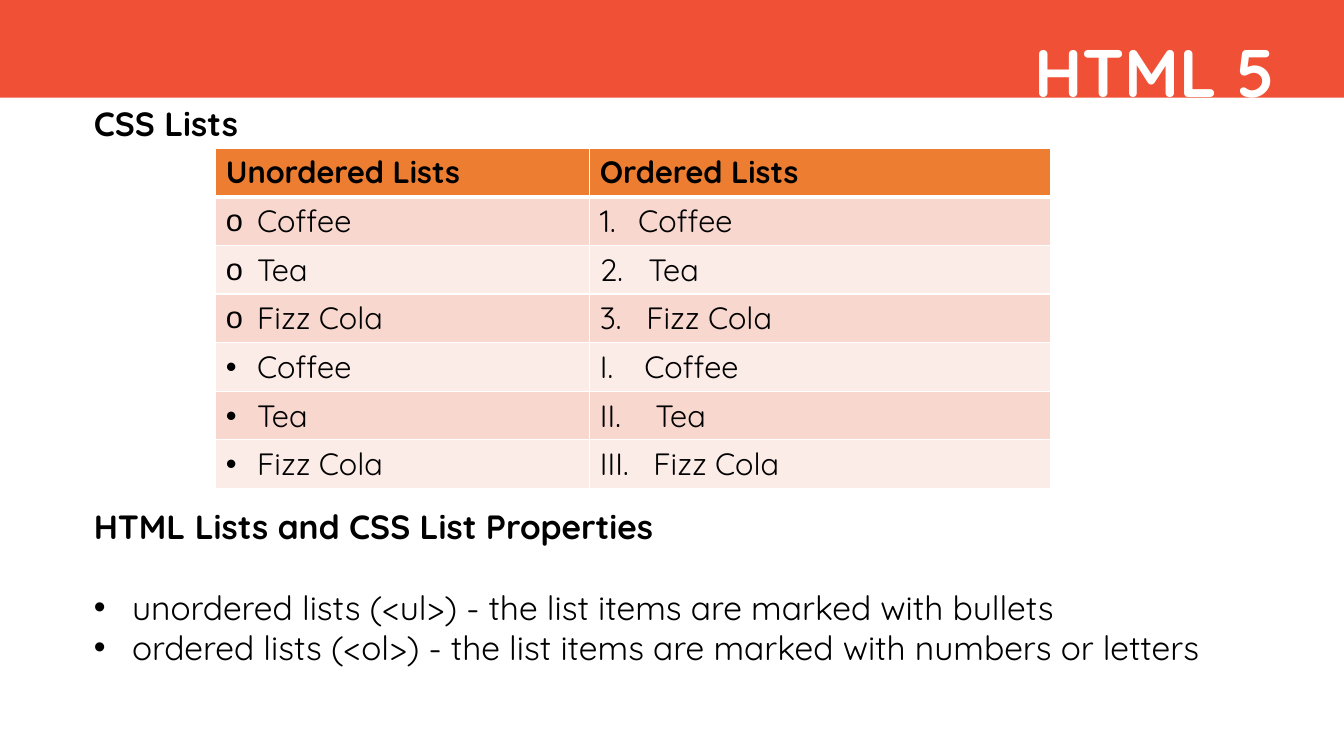
from dataclasses import dataclass

from lxml import etree
from pptx import Presentation
from pptx.dml.color import RGBColor
from pptx.enum.shapes import MSO_SHAPE
from pptx.enum.text import MSO_ANCHOR, MSO_AUTO_SIZE, PP_ALIGN
from pptx.oxml.ns import qn
from pptx.util import Inches, Pt

RECTANGLE = MSO_SHAPE.RECTANGLE
TOP, MIDDLE = MSO_ANCHOR.TOP, MSO_ANCHOR.MIDDLE
NO_AUTOFIT = MSO_AUTO_SIZE.NONE
LEFT, RIGHT = PP_ALIGN.LEFT, PP_ALIGN.RIGHT

FONT = "Quicksand"
BULLET_FONT = "Arial"
BLACK = RGBColor(0x00, 0x00, 0x00)
WHITE = RGBColor(0xFF, 0xFF, 0xFF)
RED = RGBColor(0xF0, 0x51, 0x36)
ORANGE = RGBColor(0xED, 0x7D, 0x31)
ROSE = RGBColor(0xF8, 0xD7, 0xCE)
PALE_ROSE = RGBColor(0xFC, 0xEC, 0xE8)

SLIDE_WIDTH, SLIDE_HEIGHT = Inches(13.33), Inches(7.5)
BAND_HEIGHT = Inches(0.97)
COLUMN_WIDTHS = (Inches(3.71), Inches(4.57))
TABLE_LEFT, TABLE_TOP, TABLE_HEIGHT = Inches(2.14), Inches(1.47), Inches(3.27)


@dataclass(frozen=True)
class Marker:
    """A list marker: a bullet character, or a numbering scheme and its start."""
    indent: float
    character: str = ""
    scheme: str = ""
    start: int = 1


@dataclass(frozen=True)
class Line:
    text: str
    bold: bool = False
    space_before: float = 0
    marker: Marker | None = None


def arabic(start: int, indent: float) -> Marker:
    return Marker(indent, scheme="arabicPeriod", start=start)


def roman(start: int, indent: float) -> Marker:
    return Marker(indent, scheme="romanUcPeriod", start=start)


CIRCLE = Marker(0.31, "o")
DOT = Marker(0.31, "•")
BODY_DOT = Marker(0.38, "•")

# Gaps in the body leave room for the table and for one empty line
BODY_LINES = (
    Line("CSS Lists", bold=True),
    Line("HTML Lists and CSS List Properties", bold=True, space_before=259),
    Line("unordered lists (<ul>) - the list items are marked with bullets",
         space_before=29, marker=BODY_DOT),
    Line("ordered lists (<ol>) - the list items are marked with numbers or letters",
         marker=BODY_DOT),
)
HEADINGS = ("Unordered Lists", "Ordered Lists")
DRINKS = ("Coffee", "Tea", "Fizz Cola")
MARKERS = (
    (CIRCLE, arabic(1, 0.38)),
    (CIRCLE, arabic(2, 0.48)),
    (CIRCLE, arabic(3, 0.46)),
    (DOT, roman(1, 0.44)),
    (DOT, roman(2, 0.55)),
    (DOT, roman(3, 0.53)),
)


def set_marker(paragraph, marker: Marker | None) -> None:
    properties = paragraph._p.get_or_add_pPr()
    indent = Inches(marker.indent) if marker else 0
    properties.set("marL", str(indent))
    properties.set("indent", str(-indent))
    # Bullet elements stand before the default run properties
    bullets = []
    if marker is None:
        bullets.append(etree.Element(qn("a:buNone")))
    elif marker.scheme:
        bullets.append(etree.Element(qn("a:buAutoNum"), type=marker.scheme,
                                     startAt=str(marker.start)))
    else:
        bullets.append(etree.Element(qn("a:buFont"), typeface=BULLET_FONT))
        bullets.append(etree.Element(qn("a:buChar"), char=marker.character))
    defaults = properties.find(qn("a:defRPr"))
    for bullet in bullets:
        if defaults is None:
            properties.append(bullet)
        else:
            defaults.addprevious(bullet)


def write_line(paragraph, line: Line, size: float, color: RGBColor = BLACK,
               alignment: PP_ALIGN = LEFT) -> None:
    paragraph.text = line.text
    paragraph.alignment = alignment
    paragraph.space_before = Pt(line.space_before)
    font = paragraph.font
    font.name, font.size, font.bold = FONT, Pt(size), line.bold
    font.color.rgb = color
    set_marker(paragraph, line.marker)


def place(shape, left: int, top: int, width: int, height: int) -> None:
    shape.left, shape.top, shape.width, shape.height = left, top, width, height


def set_borders(cell, bottom_width: float) -> None:
    properties = cell._tc.get_or_add_tcPr()
    widths = {"lnL": 1, "lnR": 1, "lnT": 1, "lnB": bottom_width}
    for position, (side, width) in enumerate(widths.items()):
        border = etree.Element(qn(f"a:{side}"), w=str(Pt(width)))
        fill = etree.SubElement(border, qn("a:solidFill"))
        etree.SubElement(fill, qn("a:srgbClr"), val=str(WHITE))
        properties.insert(position, border)


def fill_cell(cell, line: Line, color: RGBColor, bottom_width: float = 1) -> None:
    cell.fill.solid()
    cell.fill.fore_color.rgb = color
    set_borders(cell, bottom_width)
    write_line(cell.text_frame.paragraphs[0], line, 22)


def add_band(slide) -> None:
    band = slide.shapes.add_shape(RECTANGLE, 0, 0, SLIDE_WIDTH, BAND_HEIGHT)
    band.shadow.inherit = False
    band.fill.solid()
    band.fill.fore_color.rgb = RED
    band.line.fill.background()
    # Send the band behind the title
    slide.shapes._spTree.insert(2, band._element)


def write_title(slide) -> None:
    title = slide.shapes.title
    place(title, Inches(4.25), Inches(0.25), Inches(8.5), Inches(0.91))
    title.text_frame.auto_size = NO_AUTOFIT
    title.text_frame.vertical_anchor = MIDDLE
    write_line(title.text_frame.paragraphs[0], Line("HTML 5", bold=True), 48,
               WHITE, RIGHT)


def write_body(slide) -> None:
    body = slide.placeholders[1]
    place(body, Inches(0.83), BAND_HEIGHT, Inches(11.93), Inches(5.76))
    frame = body.text_frame
    frame.auto_size = NO_AUTOFIT
    frame.vertical_anchor = TOP
    for number, line in enumerate(BODY_LINES):
        paragraph = frame.add_paragraph() if number else frame.paragraphs[0]
        write_line(paragraph, line, 24)


def add_list_table(slide) -> None:
    row_count = len(MARKERS) + 1
    table = slide.shapes.add_table(row_count, len(HEADINGS), TABLE_LEFT, TABLE_TOP,
                                   sum(COLUMN_WIDTHS), TABLE_HEIGHT).table
    for column, width in zip(table.columns, COLUMN_WIDTHS):
        column.width = width
    for column, heading in enumerate(HEADINGS):
        fill_cell(table.cell(0, column), Line(heading, bold=True), ORANGE, 3)
    for index, row_markers in enumerate(MARKERS):
        color = PALE_ROSE if index % 2 else ROSE
        drink = DRINKS[index % len(DRINKS)]
        for column, marker in enumerate(row_markers):
            fill_cell(table.cell(index + 1, column), Line(drink, marker=marker), color)


def main() -> None:
    presentation = Presentation()
    presentation.slide_width = SLIDE_WIDTH
    presentation.slide_height = SLIDE_HEIGHT
    slide = presentation.slides.add_slide(presentation.slide_layouts[1])
    add_band(slide)
    write_title(slide)
    write_body(slide)
    add_list_table(slide)
    presentation.save("out.pptx")


if __name__ == "__main__":
    main()
